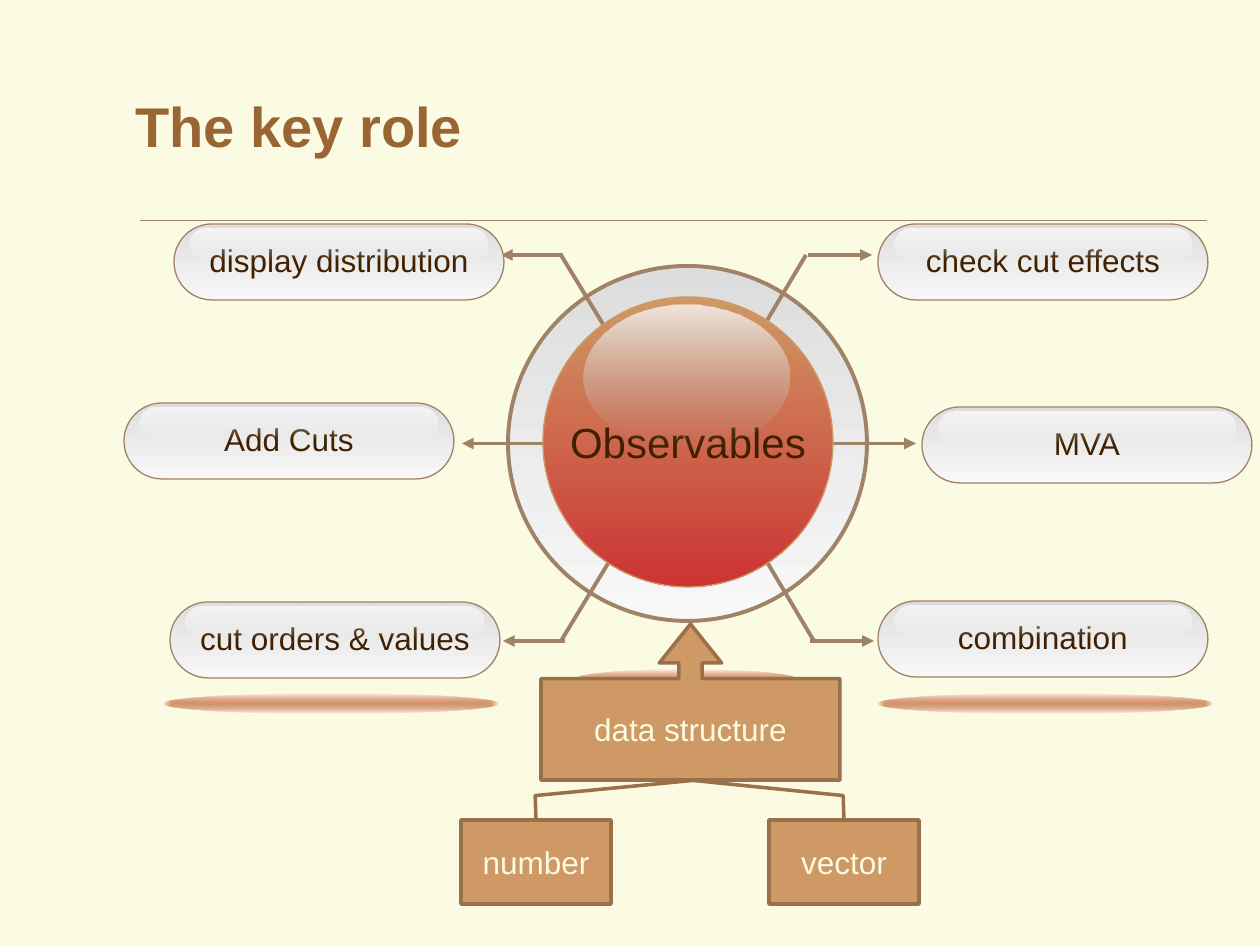
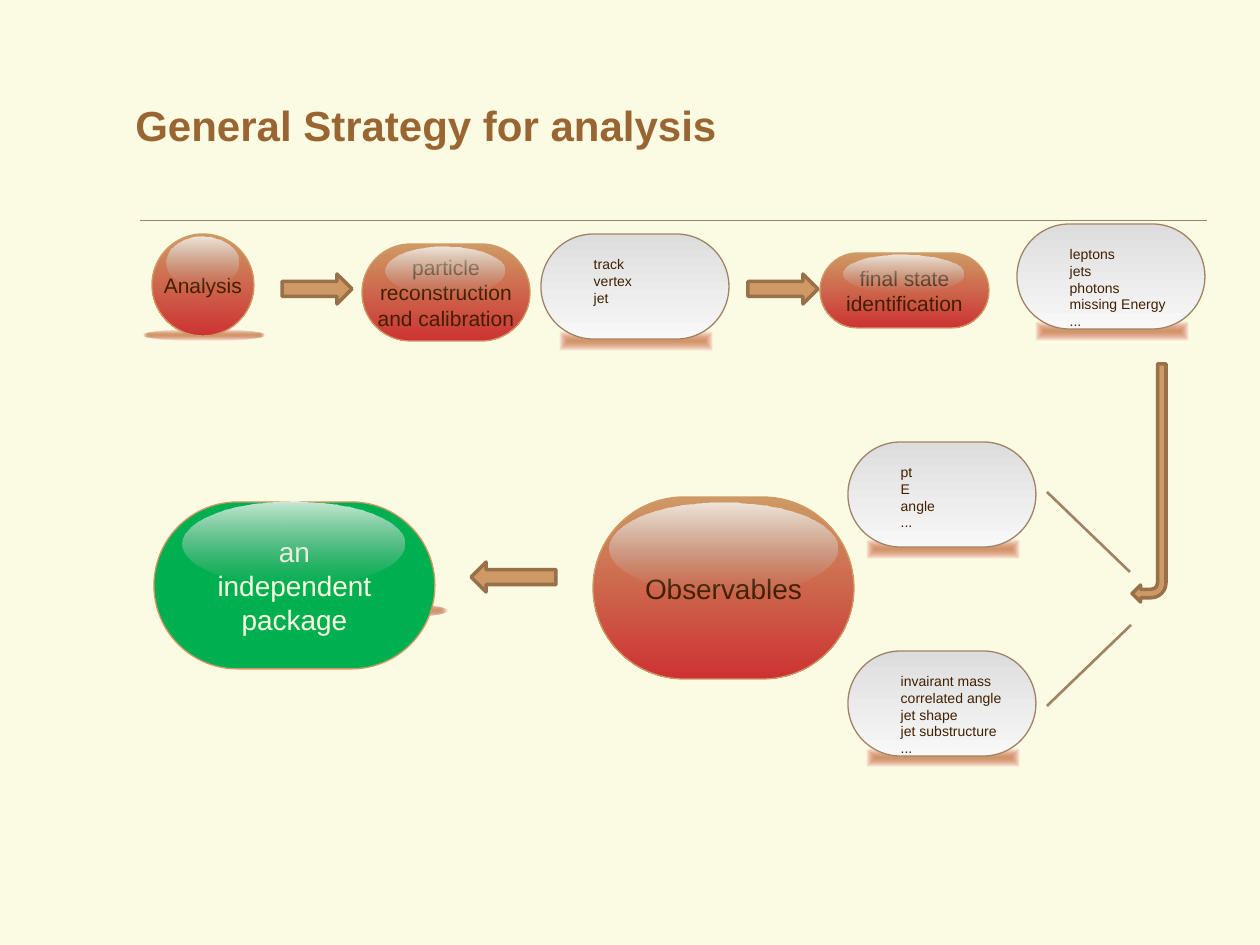
"""Build two slides on observables in an analysis."""
from lxml import etree
from pptx import Presentation
from pptx.dml.color import RGBColor
from pptx.enum.shapes import MSO_CONNECTOR, MSO_SHAPE
from pptx.enum.text import MSO_ANCHOR, PP_ALIGN
from pptx.oxml import parse_xml
from pptx.oxml.ns import nsdecls, qn
from pptx.util import Pt

PIXEL = 914400 // 126
FONT = "Arial"
COLORS = {
    "cream": "FBFAE2", "title": "996633", "text": "402000", "edge": "A08366",
    "tan": "CE9964", "red": "CD3333", "brown": "98714A", "green": "00B050",
    "silver": "DDDDDD", "pearl": "F8F8F8", "gray": "B1B1B1", "white": "FFFFFF",
}
SILVER = (("silver", 100), ("pearl", 100))
EMBER = (("tan", 100), ("red", 100))
GLOW = (("tan", 100), ("red", 0))
PILL_SHINE = (("white", 70), ("white", 0))
BALL_SHINE = (("pearl", 80), ("gray", 0))
ROUND = MSO_SHAPE.ROUNDED_RECTANGLE
OVAL = MSO_SHAPE.OVAL
ARROW = MSO_SHAPE.RIGHT_ARROW
BENT_ARROW = MSO_SHAPE.BENT_ARROW
ARROW_BOX = MSO_SHAPE.UP_ARROW_CALLOUT
CALLOUT = MSO_SHAPE.LINE_CALLOUT_2
STRAIGHT = MSO_CONNECTOR.STRAIGHT
TOP, MIDDLE = MSO_ANCHOR.TOP, MSO_ANCHOR.MIDDLE
LEFT, CENTER = PP_ALIGN.LEFT, PP_ALIGN.CENTER


def color(name):
    """Return the named colour."""
    return RGBColor.from_string(COLORS[name])


def emu(*pixels):
    """Turn pixels into EMU."""
    return [round(value * PIXEL) for value in pixels]


def fill_gradient(shape, stops, radial):
    """Fill a shape with a two-stop gradient, downwards or from its centre."""
    marks = "".join(
        f'<a:gs pos="{index * 100000}"><a:srgbClr val="{COLORS[name]}">'
        f'<a:alpha val="{opacity * 1000}"/></a:srgbClr></a:gs>'
        for index, (name, opacity) in enumerate(stops))
    if radial:
        direction = ('<a:path path="shape"><a:fillToRect l="50000" t="50000" '
                     'r="50000" b="50000"/></a:path>')
    else:
        direction = '<a:lin ang="5400000" scaled="0"/>'
    shape.fill.gradient()
    properties = shape._element.spPr
    properties.replace(properties.find(qn("a:gradFill")), parse_xml(
        f'<a:gradFill {nsdecls("a")} rotWithShape="1"><a:gsLst>{marks}</a:gsLst>'
        f'{direction}</a:gradFill>'))


def add_shape(slide, kind, box, fill, edge=None, width=0.75, adjust=(), radial=False):
    """Add a preset shape with a solid or gradient fill."""
    shape = slide.shapes.add_shape(kind, *emu(*box))
    shape.shadow.inherit = False
    for index, value in enumerate(adjust):
        shape.adjustments[index] = value
    if isinstance(fill, str):
        shape.fill.solid()
        shape.fill.fore_color.rgb = color(fill)
    else:
        fill_gradient(shape, fill, radial)
    if edge:
        shape.line.color.rgb = color(edge)
        shape.line.width = Pt(width)
    else:
        shape.line.fill.background()
    return shape


def write(shape, text, size, ink="text", align=CENTER, anchor=MIDDLE,
          wrap=False, bold=False, indent=0):
    """Put formatted text into a shape, one paragraph a line."""
    frame = shape.text_frame
    frame.text = text
    frame.word_wrap = wrap
    frame.vertical_anchor = anchor
    for paragraph in frame.paragraphs:
        paragraph.alignment = align
        if indent:
            paragraph._p.get_or_add_pPr().set("marL", str(indent * PIXEL))
        for run in paragraph.runs:
            run.font.name = FONT
            run.font.size = Pt(size)
            run.font.bold = bold
            run.font.color.rgb = color(ink)


def add_line(slide, ends, width=2.25, arrow=False):
    """Draw a straight line, with an arrowhead at its end if asked."""
    connector = slide.shapes.add_connector(STRAIGHT, *emu(*ends))
    connector.line.color.rgb = color("edge")
    connector.line.width = Pt(width)
    properties = connector._element.spPr
    if arrow:
        etree.SubElement(properties.find(qn("a:ln")), qn("a:tailEnd"), type="triangle")
    etree.SubElement(properties, qn("a:effectLst"))


def add_glow(slide, box, kind=OVAL):
    """Add a soft glow that fades from its centre."""
    add_shape(slide, kind, box, GLOW, radial=True)


def add_pill(slide, box, text):
    """Add a silver pill with a shine along its top."""
    left, top, width, height = box
    pill = add_shape(slide, ROUND, box, SILVER, "edge", adjust=(0.5,))
    write(pill, text, 18, anchor=TOP)
    shine = (left + 16, top + 5, width - 33, height * 0.4)
    add_shape(slide, ROUND, shine, PILL_SHINE, adjust=(0.5,))


def add_ball(slide, box, text, size, fill=EMBER, ink="text", shine=(0.14, 0.025, 0.71)):
    """Add a glossy ball whose shine is given in shares of its box."""
    left, top, width, height = box
    ball = add_shape(slide, ROUND, box, fill, "tan", adjust=(0.5,))
    write(ball, text, size, ink)
    across, down, share = shine
    add_shape(slide, OVAL, (left + across * width, top + down * height,
                            share * width, height / 2), BALL_SHINE)


def add_list(slide, box, text):
    """Add a silver capsule with a left-aligned list and a glow under it."""
    left, top, width, height = box
    add_glow(slide, (left + 19, top + height - 7, width - 36, 18), ROUND)
    capsule = add_shape(slide, ROUND, box, SILVER, "edge", adjust=(0.5,))
    write(capsule, text, 8, align=LEFT, anchor=TOP, indent=25)


def add_block(slide, kind, box, text="", adjust=(), rotation=0):
    """Add a tan block or arrow with a brown edge."""
    block = add_shape(slide, kind, box, "tan", "brown", 2, adjust)
    block.rotation = rotation
    if text:
        write(block, text, 18, "cream", wrap=True)


def add_hub(slide, box):
    """Add the ring with its spokes and arrows."""
    left, top, width, height = box
    add_shape(slide, OVAL, box, SILVER, "edge", 2.25)
    upper, centre, lower = top - 11, top + height / 2, top + height + 20
    for inner, outer, edge in ((101, 53, -7), (251, 298, 364)):
        add_line(slide, (left + inner, top + 68, left + outer, upper))
        shift = 8 if edge > 0 else 0
        add_line(slide, (left + inner + shift, top + 296, left + outer + shift, lower))
        add_line(slide, (left + outer + 2, upper, left + edge, upper), arrow=True)
        add_line(slide, (left + outer + 4, lower, left + edge + 2, lower), arrow=True)
    add_line(slide, (left + 48, centre, left - 46, centre), arrow=True)
    add_line(slide, (left + 311, centre, left + width + 49, centre), arrow=True)


def add_structure(slide, box):
    """Add the data structure block and the two kinds that lead into it."""
    left, top, width, height = box
    add_block(slide, ARROW_BOX, box, "data structure", (0.15, 0.2, 0.25, 0.65))
    for text, offset, target in (("vector", 228, -0.51), ("number", -80, 1.551)):
        add_block(slide, CALLOUT, (left + offset, top + height + 40, 150, 84), text,
                  (-0.012, 0.5, -0.291, 0.495, -0.472, target))


def add_titled_slide(presentation, title, size):
    """Add a blank slide with the background, rule and title."""
    slide = presentation.slides.add_slide(presentation.slide_layouts[6])
    slide.background.fill.solid()
    slide.background.fill.fore_color.rgb = color("cream")
    add_line(slide, (140, 220, 1207, 220), 0.25)
    heading = slide.shapes.add_textbox(*emu(123, 55, 1074, 140))
    write(heading, title, size, "title", LEFT, wrap=True, bold=True)
    return slide


def build_key_role(presentation):
    """Build the slide with the hub and its six uses."""
    slide = add_titled_slide(presentation, "The key role", 32)
    for left in (878, 164):
        add_glow(slide, (left, 694, 334, 20))
    add_hub(slide, (508, 266, 359, 355))
    for left, top, text in (
            (174, 224, "display distribution"), (878, 224, "check cut effects"),
            (922, 407, "MVA"), (878, 601, "combination"),
            (170, 602, "cut orders & values"), (124, 403, "Add Cuts")):
        add_pill(slide, (left, top, 330, 76), text)
    add_glow(slide, (575, 670, 222, 20))
    add_ball(slide, (543, 297, 290, 290), "Observables", 24)
    add_structure(slide, (541, 624, 299, 156))


def build_strategy(presentation):
    """Build the slide with the analysis flow."""
    slide = add_titled_slide(presentation, "General Strategy for analysis", 24)
    add_glow(slide, (144, 330, 120, 10))
    add_ball(slide, (152, 234, 102, 102), "Analysis", 12)
    add_ball(slide, (362, 244, 168, 97), "particle\nreconstruction\nand calibration", 12)
    for left, top, text in (
            (541, 234, "track\nvertex\njet"),
            (848, 442, "pt\nE\nangle\n..."),
            (848, 651, "invairant mass\ncorrelated angle\njet shape\njet substructure\n..."),
            (1017, 224, "leptons\njets\nphotons\nmissing Energy\n...")):
        add_list(slide, (left, top, 188, 105), text)
    add_ball(slide, (820, 253, 169, 75), "final state\nidentification", 12)
    for left in (282, 748):
        add_block(slide, ARROW, (left, 274, 70, 30))
    add_block(slide, BENT_ARROW, (1132, 364, 34, 238), rotation=180)
    add_line(slide, (1047, 706, 1131, 625), 1.5)
    add_line(slide, (1130, 572, 1047, 492), 1.5)
    add_ball(slide, (593, 497, 261, 182), "Observables", 16, shine=(0.065, 0.03, 0.87))
    add_block(slide, ARROW, (471, 562, 85, 30), rotation=180)
    add_glow(slide, (265, 603, 182, 16))
    add_ball(slide, (154, 502, 281, 167), "an\nindependent\npackage", 16,
             "green", "cream", (0.1, 0, 0.79))


def main():
    """Build and save the presentation."""
    presentation = Presentation()
    presentation.slide_width, presentation.slide_height = emu(1260, 945)
    build_key_role(presentation)
    build_strategy(presentation)
    presentation.save("out.pptx")


main()
